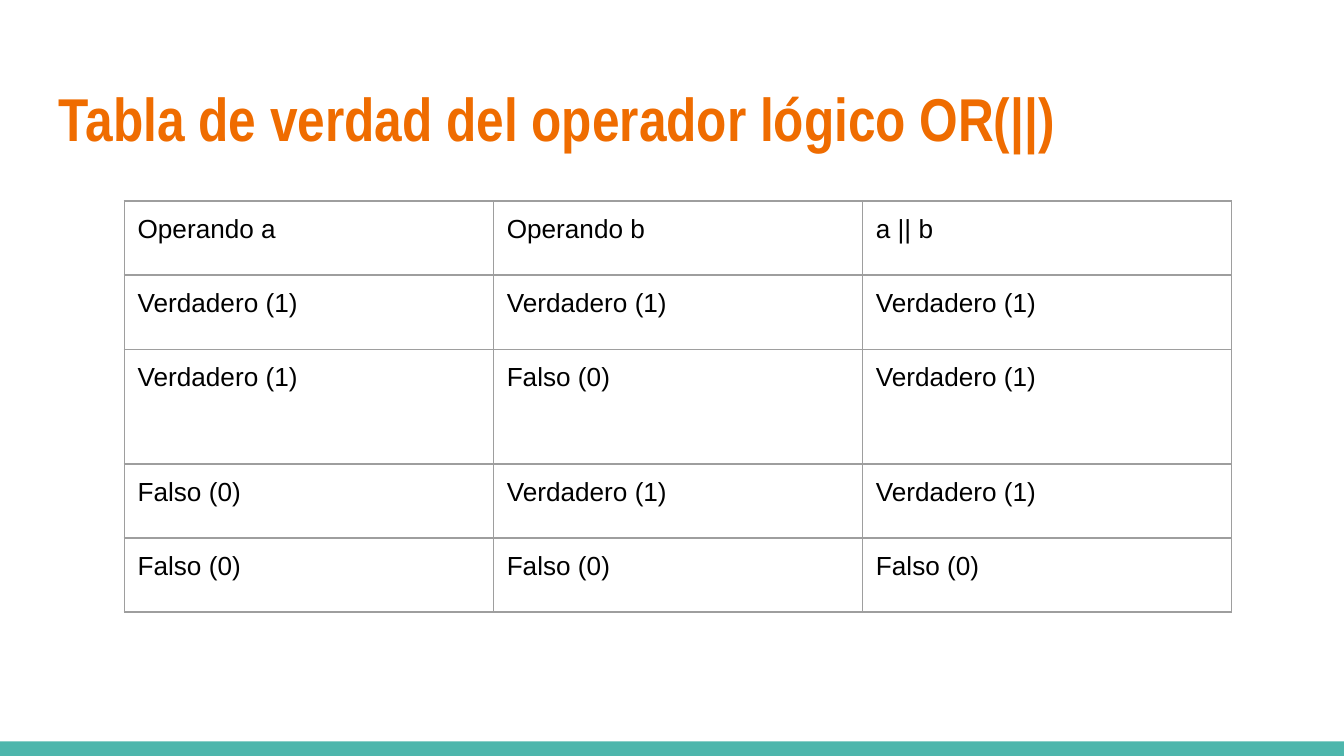
from lxml import etree
from pptx import Presentation
from pptx.dml.color import RGBColor
from pptx.enum.shapes import MSO_SHAPE
from pptx.enum.text import MSO_ANCHOR
from pptx.oxml.ns import qn
from pptx.util import Pt

RECTANGLE = MSO_SHAPE.RECTANGLE
TOP = MSO_ANCHOR.TOP
MIDDLE = MSO_ANCHOR.MIDDLE

SLIDE_WIDTH, SLIDE_HEIGHT = 720, 405
INSET = 7.2
TRUE, FALSE = "Verdadero (1)", "Falso (0)"
TRUTH_ROWS = [
    ("Operando a", "Operando b", "a || b"),
    (TRUE, TRUE, TRUE),
    (TRUE, FALSE, TRUE),
    (FALSE, TRUE, TRUE),
    (FALSE, FALSE, FALSE),
]
ROW_HEIGHTS = [39.7, 39.7, 61.5, 39.7, 39.7]


def color(value):
    return RGBColor.from_string(value)


def add_run(paragraph, text, size, font, fill, bold=False):
    run = paragraph.add_run()
    run.text = text
    run.font.size = Pt(size)
    run.font.name = font
    run.font.bold = bold
    run.font.color.rgb = color(fill)


def set_insets(holder):
    holder.margin_left = holder.margin_right = Pt(INSET)
    holder.margin_top = holder.margin_bottom = Pt(INSET)


def add_cell_borders(cell, line_color, width):
    properties = cell._tc.get_or_add_tcPr()
    for position, side in enumerate(("a:lnL", "a:lnR", "a:lnT", "a:lnB")):
        border = etree.Element(qn(side), w=str(Pt(width)))
        fill = etree.SubElement(border, qn("a:solidFill"))
        etree.SubElement(fill, qn("a:srgbClr"), val=line_color)
        properties.insert(position, border)


def add_footer_band(slide, left, top, width, height):
    band = slide.shapes.add_shape(RECTANGLE, Pt(left), Pt(top), Pt(width), Pt(height))
    band.shadow.inherit = False
    band.fill.solid()
    band.fill.fore_color.rgb = color("4DB6AC")
    band.line.fill.background()


def add_heading(slide, left, top, width, height):
    heading = slide.shapes.add_textbox(Pt(left), Pt(top), Pt(width), Pt(height))
    frame = heading.text_frame
    frame.word_wrap = True
    frame.vertical_anchor = MIDDLE
    set_insets(frame)
    add_run(frame.paragraphs[0], "Tabla de verdad del operador lógico OR(||)",
            32.4, "Arial Narrow", "EF6C00", bold=True)


def add_truth_table(slide, left, top, width):
    columns = len(TRUTH_ROWS[0])
    table = slide.shapes.add_table(
        len(TRUTH_ROWS), columns, Pt(left), Pt(top), Pt(width), Pt(sum(ROW_HEIGHTS))
    ).table
    table.first_row = False
    table.horz_banding = False
    for column in table.columns:
        column.width = Pt(width / columns)
    for row, height, values in zip(table.rows, ROW_HEIGHTS, TRUTH_ROWS):
        row.height = Pt(height)
        for cell, value in zip(row.cells, values):
            cell.fill.background()
            cell.vertical_anchor = TOP
            set_insets(cell)
            add_cell_borders(cell, "9E9E9E", 0.75)
            add_run(cell.text_frame.paragraphs[0], value, 14, "Arial", "000000")


def main():
    presentation = Presentation()
    presentation.slide_width = Pt(SLIDE_WIDTH)
    presentation.slide_height = Pt(SLIDE_HEIGHT)
    slide = presentation.slides.add_slide(presentation.slide_layouts[6])
    slide.background.fill.solid()
    slide.background.fill.fore_color.rgb = color("FFFFFF")
    add_footer_band(slide, 0, 397.2, SLIDE_WIDTH, 7.8)
    add_heading(slide, 24.5, 35, 671, 55.6)
    add_truth_table(slide, 66.5, 107.7, 593.4)
    presentation.save("out.pptx")


if __name__ == "__main__":
    main()
